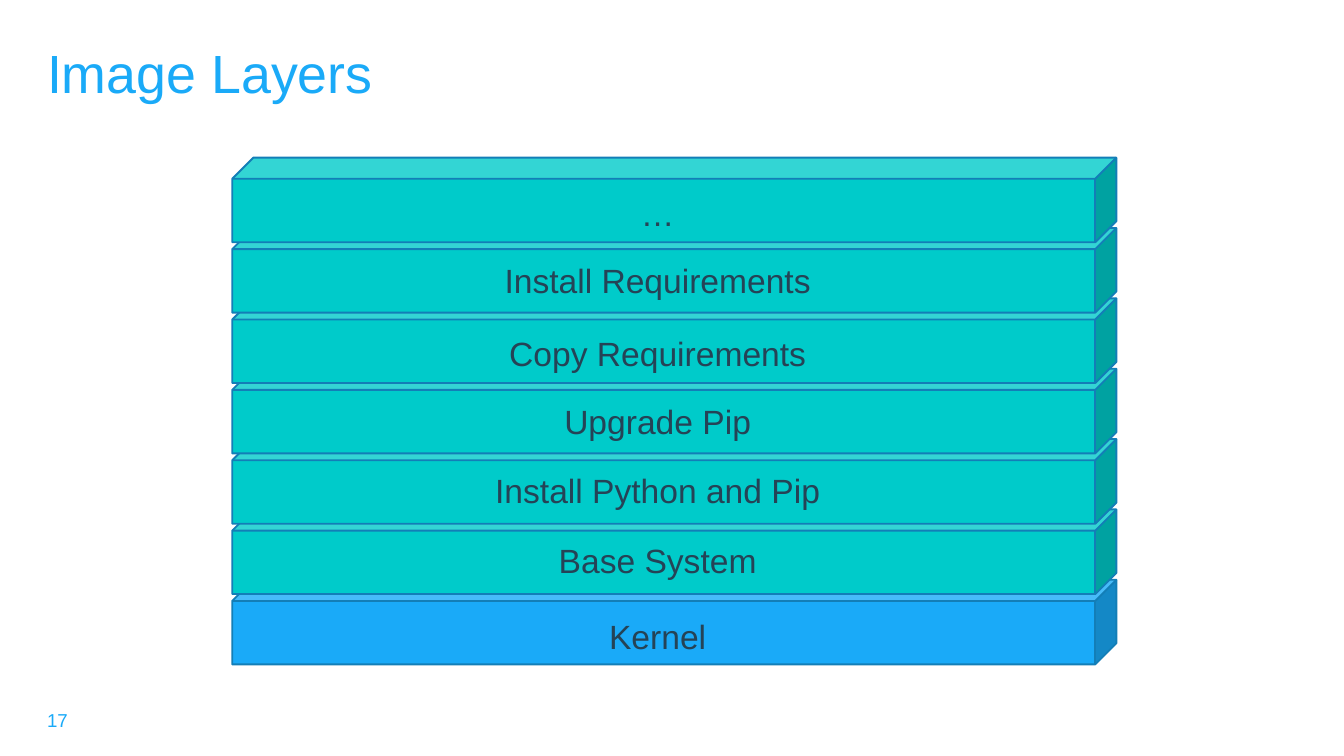
from pptx import Presentation
from pptx.dml.color import RGBColor
from pptx.enum.shapes import MSO_SHAPE
from pptx.enum.text import MSO_ANCHOR, PP_ALIGN
from pptx.util import Cm, Pt

SKY, TEAL, EDGE, INK = "1AAAF8", "00CBCA", "137EB7", "254356"
STACK_LEFT, STACK_TOP, PITCH = 4.39, 2.98, 1.33
LAYERS = [
    ("…", 0.55, TEAL),
    ("Install Requirements", 0.47, TEAL),
    ("Copy Requirements", 0.52, TEAL),
    ("Upgrade Pip", 0.48, TEAL),
    ("Install Python and Pip", 0.46, TEAL),
    ("Base System", 0.45, TEAL),
    ("Kernel", 0.55, SKY),
]


def color(value):
    """Turn a hex string into a colour."""
    return RGBColor.from_string(value)


def add_text(shapes, words, box, size, ink, align=PP_ALIGN.LEFT, anchor=MSO_ANCHOR.TOP, spacing=1.0):
    """Add a wrapped line of text in a box given in centimetres."""
    frame = shapes.add_textbox(*map(Cm, box)).text_frame
    for name, value in {"word_wrap": True, "vertical_anchor": anchor}.items():
        setattr(frame, name, value)
    paragraph = frame.paragraphs[0]
    for name, value in {"alignment": align, "line_spacing": spacing}.items():
        setattr(paragraph, name, value)
    run = paragraph.add_run()
    run.text = words
    for name, value in {"name": "Arial", "size": Pt(size)}.items():
        setattr(run.font, name, value)
    run.font.color.rgb = color(ink)


def add_slab(shapes, top, fill):
    """Add one cube-shaped layer of the stack."""
    slab = shapes.add_shape(MSO_SHAPE.CUBE, Cm(STACK_LEFT), Cm(top), Cm(16.71), Cm(1.6))
    slab.shadow.inherit = False
    slab.fill.solid()
    slab.fill.fore_color.rgb = color(fill)
    slab.line.color.rgb = color(EDGE)
    slab.line.width = Pt(1)


def add_stack(slide):
    """Pile the layers from the bottom up, then label them."""
    stack = slide.shapes.add_group_shape().shapes
    placed = [(STACK_TOP + PITCH * level, *layer) for level, layer in enumerate(LAYERS)]
    for top, _, _, fill in reversed(placed):
        add_slab(stack, top, fill)
    for top, label, drop, _ in placed:
        add_text(stack, label, (4.62, top + drop, 15.62, 1.02), 18, INK, PP_ALIGN.CENTER)


def main():
    """Build the slide and save it."""
    deck = Presentation()
    deck.slide_width, deck.slide_height = Cm(25.4), Cm(14.29)
    slide = deck.slides.add_slide(deck.slide_layouts[6])
    add_text(slide.shapes, "17", (0.64, 13.23, 6, 0.76), 10, SKY, anchor=MSO_ANCHOR.MIDDLE)
    add_text(slide.shapes, "Image Layers", (0.64, 0.76, 24.13, 1.32), 28.8, SKY, spacing=0.9)
    add_stack(slide)
    deck.save("out.pptx")


if __name__ == "__main__":
    main()
